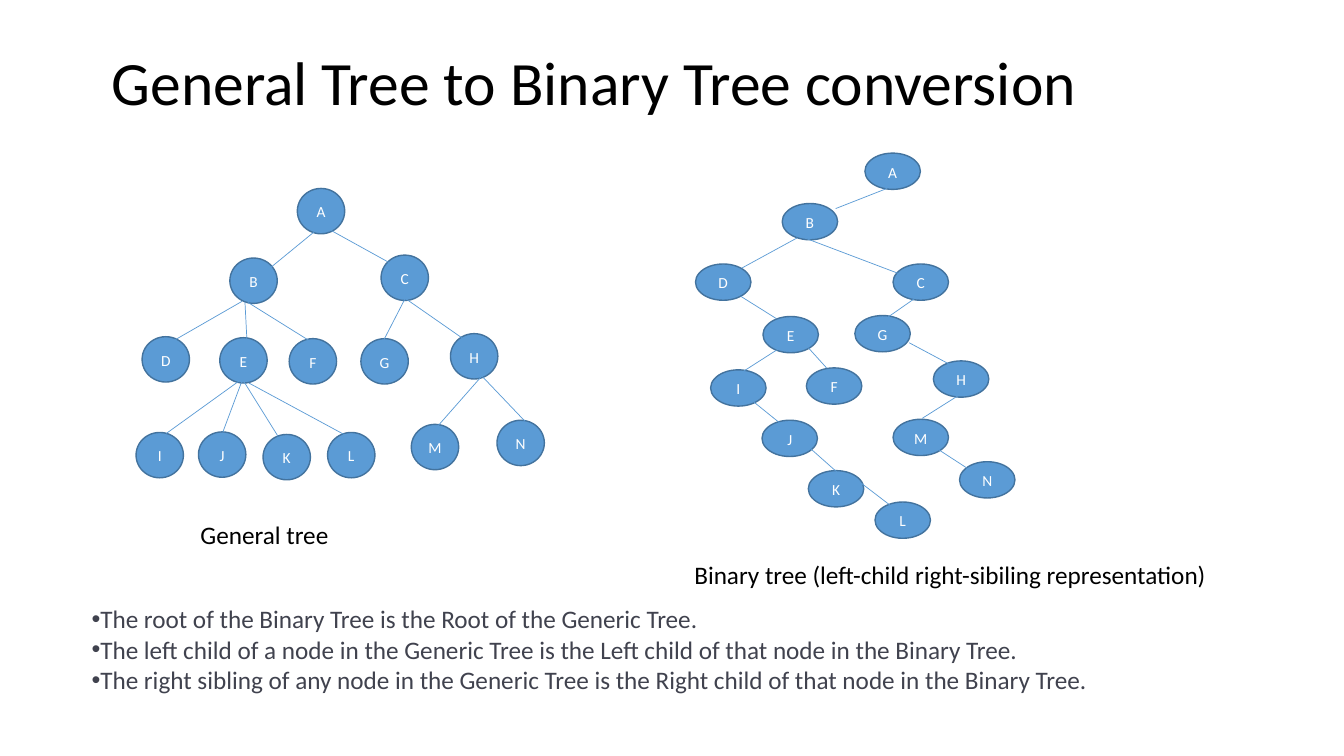
from lxml import etree
from pptx import Presentation
from pptx.dml.color import RGBColor
from pptx.enum.shapes import MSO_CONNECTOR, MSO_SHAPE
from pptx.enum.text import MSO_ANCHOR, PP_ALIGN
from pptx.oxml.ns import qn
from pptx.util import Pt

COLORS = {
    "black": "000000",
    "white": "FFFFFF",
    "rule": "40424E",
    "node": "5B9BD5",
    "outline": "43739E",
}

# Node positions are left, top; edges run from parent to child.
general_tree = {
    "node_size": (33.84, 32.4),
    "nodes": {
        "A": (212.4, 134.6), "C": (272.2, 182.2), "B": (164.2, 184.3),
        "H": (321.8, 238.3), "G": (257.8, 241.9), "F": (206.6, 241.9),
        "E": (157, 241.2), "D": (101.5, 240.5), "I": (97.2, 308.9),
        "J": (141.8, 308.5), "K": (187.9, 310.3), "L": (234, 308.9),
        "N": (355, 300.2), "M": (293.8, 303.1),
    },
    "edges": {
        "AB": (229.7, 161.3, 193.7, 190.8),
        "AC": (231.8, 162, 278.6, 187.9),
        "BD": (172.8, 215.3, 125.3, 242.6),
        "BE": (175, 216, 176.4, 243.4),
        "BF": (177.1, 216, 221, 243.4),
        "CG": (290.2, 211.7, 274.3, 242.6),
        "CH": (289.4, 213.1, 329.8, 241.2),
        "EI": (172.8, 270.7, 118.8, 309.6),
        "EJ": (172.8, 272.2, 159.1, 308.9),
        "EK": (173.5, 271.4, 198.7, 311.8),
        "EL": (177.8, 273.6, 247, 311),
        "HM": (344.2, 268.6, 312.5, 304.6),
        "HN": (344.2, 268.6, 375.1, 301),
    },
}
binary_tree = {
    "node_size": (39.6, 25.92),
    "nodes": {
        "A": (617.8, 109.4), "B": (558.7, 145.4), "D": (496.8, 188.6),
        "C": (637.9, 188.6), "E": (545, 226.1), "G": (610.6, 225.4),
        "F": (576, 262.8), "N": (685.4, 329.8), "M": (637.9, 299.5),
        "I": (507.6, 264.2), "H": (666.7, 257.8), "K": (577.4, 336.2),
        "J": (544.3, 300.2), "L": (625, 358.6),
    },
    "edges": {
        "AB": (633.6, 134.6, 596.9, 149),
        "BD": (569.5, 169.9, 529.9, 191.5),
        "BC": (574.6, 169.9, 645.1, 196.6),
        "DE": (529.2, 211.7, 554.4, 227.5),
        "CG": (654.5, 212.4, 632.9, 227.5),
        "EF": (577.4, 248.4, 590.4, 262.8),
        "GH": (649.4, 244.8, 679, 260.6),
        "EI": (557.3, 248.4, 529.2, 266.4),
        "HM": (686.2, 281.5, 658.8, 298.8),
        "MN": (670.3, 321.1, 699.1, 339.8),
        "IJ": (534.2, 283.7, 557.3, 302.4),
        "JK": (578.9, 320.4, 597.6, 337),
        "KL": (612, 342.7, 636.5, 361.4),
    },
}
conversion_rules = [
    "The root of the Binary Tree is the Root of the Generic Tree.",
    "The left child of a node in the Generic Tree is the Left child of that node in the Binary Tree.",
    "The right sibling of any node in the Generic Tree is the Right child of that node in the Binary Tree.",
]


def add_run(paragraph, text, size, color):
    run = paragraph.add_run()
    run.text = text
    run.font.name = "Calibri"
    run.font.size = Pt(size)
    run.font.color.rgb = RGBColor.from_string(COLORS[color])


def add_text_frame(left, top, width, height):
    """Add a wrapping text box and return its text frame."""
    box = slide.shapes.add_textbox(Pt(left), Pt(top), Pt(width), Pt(height))
    box.text_frame.word_wrap = True
    return box.text_frame


prs = Presentation()
prs.slide_width, prs.slide_height = Pt(960), Pt(540)
slide = prs.slides.add_slide(prs.slide_layouts[6])

title = add_text_frame(72.7, 8.6, 828, 104.4)
title.vertical_anchor = MSO_ANCHOR.MIDDLE
title.paragraphs[0].line_spacing = 0.9
add_run(title.paragraphs[0], "General Tree to Binary Tree conversion", 44, "black")

for caption, place in [
    ("General tree", (136.1, 367.2, 236.9, 28.8)),
    ("Binary tree (left-child right-sibiling representation)", (488.9, 396, 384.5, 28.8)),
]:
    add_run(add_text_frame(*place).paragraphs[0], caption, 18, "black")

rules = add_text_frame(58.3, 427.7, 797, 72.7)
for index, rule in enumerate(conversion_rules):
    paragraph = rules.add_paragraph() if index else rules.paragraphs[0]
    paragraph.alignment = PP_ALIGN.JUSTIFY
    properties = paragraph._p.get_or_add_pPr()
    properties.set("marL", "0")
    properties.set("indent", "0")
    etree.SubElement(properties, qn("a:buFont"), typeface="Arial")
    etree.SubElement(properties, qn("a:buChar"), char="•")
    add_run(paragraph, rule, 18, "rule")

for tree in (general_tree, binary_tree):
    group = slide.shapes.add_group_shape()
    width, height = tree["node_size"]
    for letter, (left, top) in tree["nodes"].items():
        node = group.shapes.add_shape(
            MSO_SHAPE.OVAL, Pt(left), Pt(top), Pt(width), Pt(height))
        node.shadow.inherit = False
        node.fill.solid()
        node.fill.fore_color.rgb = RGBColor.from_string(COLORS["node"])
        node.line.color.rgb = RGBColor.from_string(COLORS["outline"])
        node.line.width = Pt(1)
        node.text_frame.vertical_anchor = MSO_ANCHOR.MIDDLE
        label = node.text_frame.paragraphs[0]
        label.alignment = PP_ALIGN.CENTER
        label.line_spacing = 1.07
        label.space_after = Pt(8)
        add_run(label, letter, 11, "white")
    for ends in tree["edges"].values():
        edge = group.shapes.add_connector(
            MSO_CONNECTOR.STRAIGHT, *(Pt(value) for value in ends))
        edge.line.color.rgb = RGBColor.from_string(COLORS["node"])
        edge.line.width = Pt(0.5)
        etree.SubElement(edge._element.spPr, qn("a:effectLst"))

prs.save("out.pptx")
